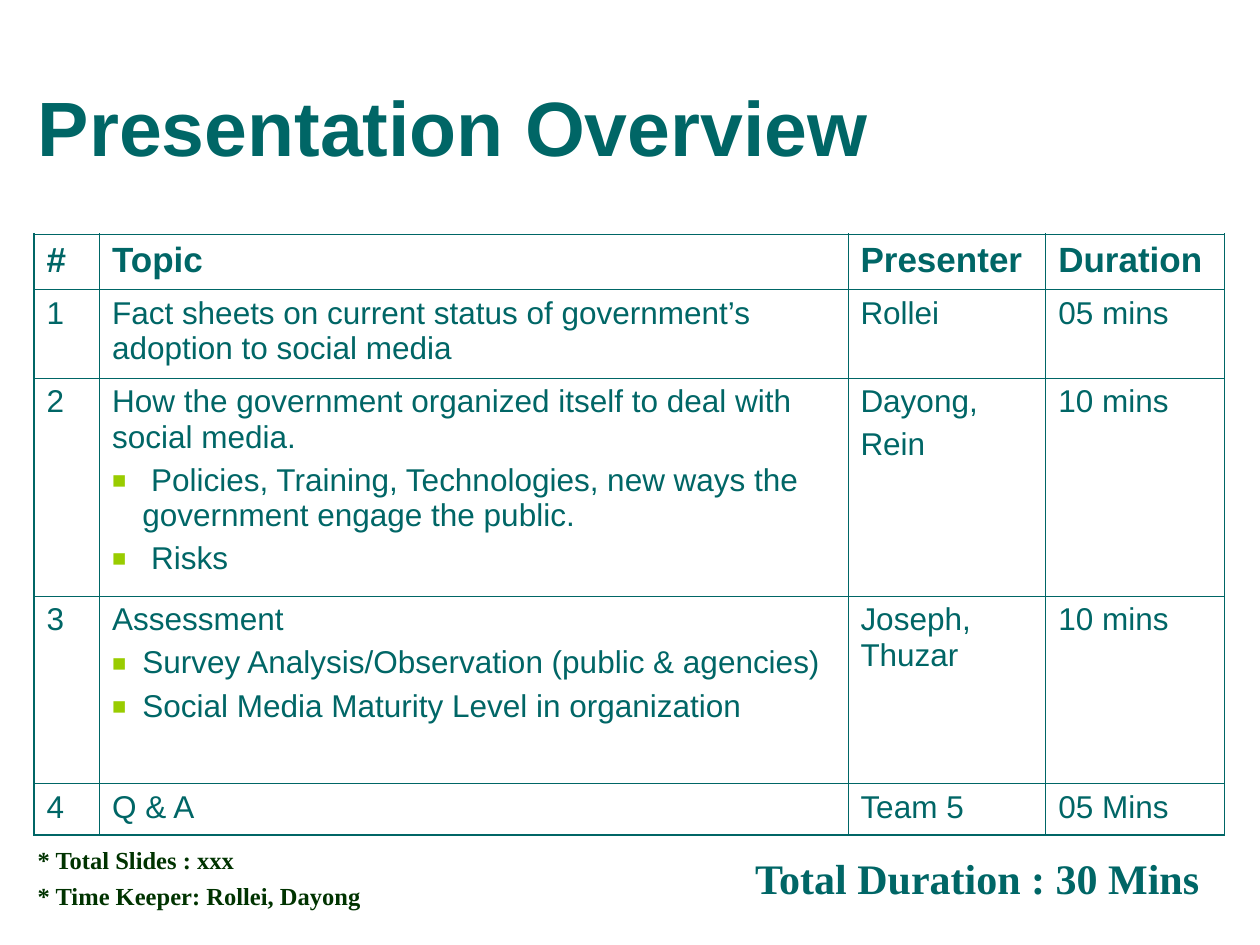
from pptx import Presentation
from pptx.dml.color import RGBColor
from pptx.enum.text import MSO_ANCHOR, PP_ALIGN
from pptx.oxml.xmlchemy import OxmlElement
from pptx.util import Inches, Pt

TEAL, GREEN, LIME = "006666", "003300", "99CC00"
SANS, SERIF = "Arial", "Times New Roman"
OUTER, INNER = 1.08, 0.45
BULLET = "■"

TITLE = "Presentation Overview"
COLUMN_WIDTHS = [0.52, 5.94, 1.57, 1.42]
ROW_HEIGHTS = [0.44, 0.7, 1.73, 1.49, 0.41]
AGENDA = [
    [["#"], ["Topic"], ["Presenter"], ["Duration"]],
    [["1"], ["Fact sheets on current status of government’s adoption to social media"],
     ["Rollei"], ["05 mins"]],
    [["2"], ["How the government organized itself to deal with social media.",
             (BULLET, " Policies, Training, Technologies, new ways the government engage the public."),
             (BULLET, " Risks")],
     ["Dayong,", "Rein"], ["10 mins"]],
    [["3"], ["Assessment",
             (BULLET, "Survey Analysis/Observation (public & agencies)"),
             (BULLET, "Social Media Maturity Level in organization")],
     ["Joseph, Thuzar"], ["10 mins"]],
    [["4"], ["Q & A"], ["Team 5"], ["05 Mins"]],
]
NOTES = ["* Total Slides : xxx", "* Time Keeper: Rollei, Dayong"]
TOTAL = ["Total Duration : 30 Mins"]


def color(value):
    return RGBColor.from_string(value)


def add_element(parent, tag, **attributes):
    element = OxmlElement(tag)
    for name, value in attributes.items():
        element.set(name, str(value))
    parent.append(element)
    return element


def add_bullet(para, mark):
    props = para._p.get_or_add_pPr()
    props.set("marL", str(Inches(0.24)))
    props.set("indent", str(-Inches(0.24)))
    add_element(add_element(props, "a:buClr"), "a:srgbClr", val=LIME)
    add_element(props, "a:buSzPct", val=75000)
    add_element(props, "a:buFont", typeface=SANS)
    add_element(props, "a:buChar", char=mark)


def write(frame, lines, size, font, ink, bold=True, before=0, align=PP_ALIGN.LEFT):
    for index, line in enumerate(lines):
        para = frame.add_paragraph() if index else frame.paragraphs[0]
        para.alignment = align
        para.space_before = Pt(before)
        mark, text = line if isinstance(line, tuple) else (None, line)
        if mark:
            add_bullet(para, mark)
        span = para.add_run()
        span.text = text
        span.font.size = Pt(size)
        span.font.name = font
        span.font.bold = bold
        span.font.color.rgb = color(ink)


def set_borders(cell, widths):
    props = cell._tc.get_or_add_tcPr()
    for side, width in widths.items():
        line = add_element(props, f"a:ln{side}", w=Pt(width))
        add_element(add_element(line, "a:solidFill"), "a:srgbClr", val=TEAL)


def add_agenda(page):
    last_row, last_column = len(ROW_HEIGHTS) - 1, len(COLUMN_WIDTHS) - 1
    table = page.shapes.add_table(
        len(ROW_HEIGHTS), len(COLUMN_WIDTHS), Inches(0.27), Inches(1.86),
        Inches(sum(COLUMN_WIDTHS)), Inches(sum(ROW_HEIGHTS))).table
    table.first_row = table.horz_banding = False
    for column, width in zip(table.columns, COLUMN_WIDTHS):
        column.width = Inches(width)
    for r, (row, height) in enumerate(zip(table.rows, ROW_HEIGHTS)):
        row.height = Inches(height)
        size, before = (18, 4.5) if r else (20, 5)
        for c, cell in enumerate(row.cells):
            write(cell.text_frame, AGENDA[r][c], size, SANS, TEAL, r == 0, before)
            set_borders(cell, {
                "L": INNER if c else OUTER,
                "R": OUTER if c == last_column else INNER,
                "T": INNER if r else OUTER,
                "B": OUTER if r == last_row else INNER,
            })
            cell.fill.background()


def add_text(page, place, wrap, *content, **style):
    box = page.shapes.add_textbox(*map(Inches, place))
    box.text_frame.word_wrap = wrap
    write(box.text_frame, *content, **style)


def main():
    deck = Presentation()
    deck.slide_width, deck.slide_height = Inches(10), Inches(7.5)
    page = deck.slides.add_slide(deck.slide_layouts[5])

    title = page.shapes.title
    title.left, title.top, title.width, title.height = map(Inches, (0.2, 0.52, 8.58, 0.96))
    title.text_frame.vertical_anchor = MSO_ANCHOR.MIDDLE
    write(title.text_frame, [TITLE], 44, SANS, TEAL)

    add_agenda(page)
    add_text(page, (0.2, 6.66, 2.82, 0.62), False, NOTES, 14, SERIF, GREEN, before=3.5)
    add_text(page, (5.55, 6.72, 4.41, 0.5), True, TOTAL, 24, SERIF, TEAL,
             before=6, align=PP_ALIGN.CENTER)
    deck.save("out.pptx")


if __name__ == "__main__":
    main()
